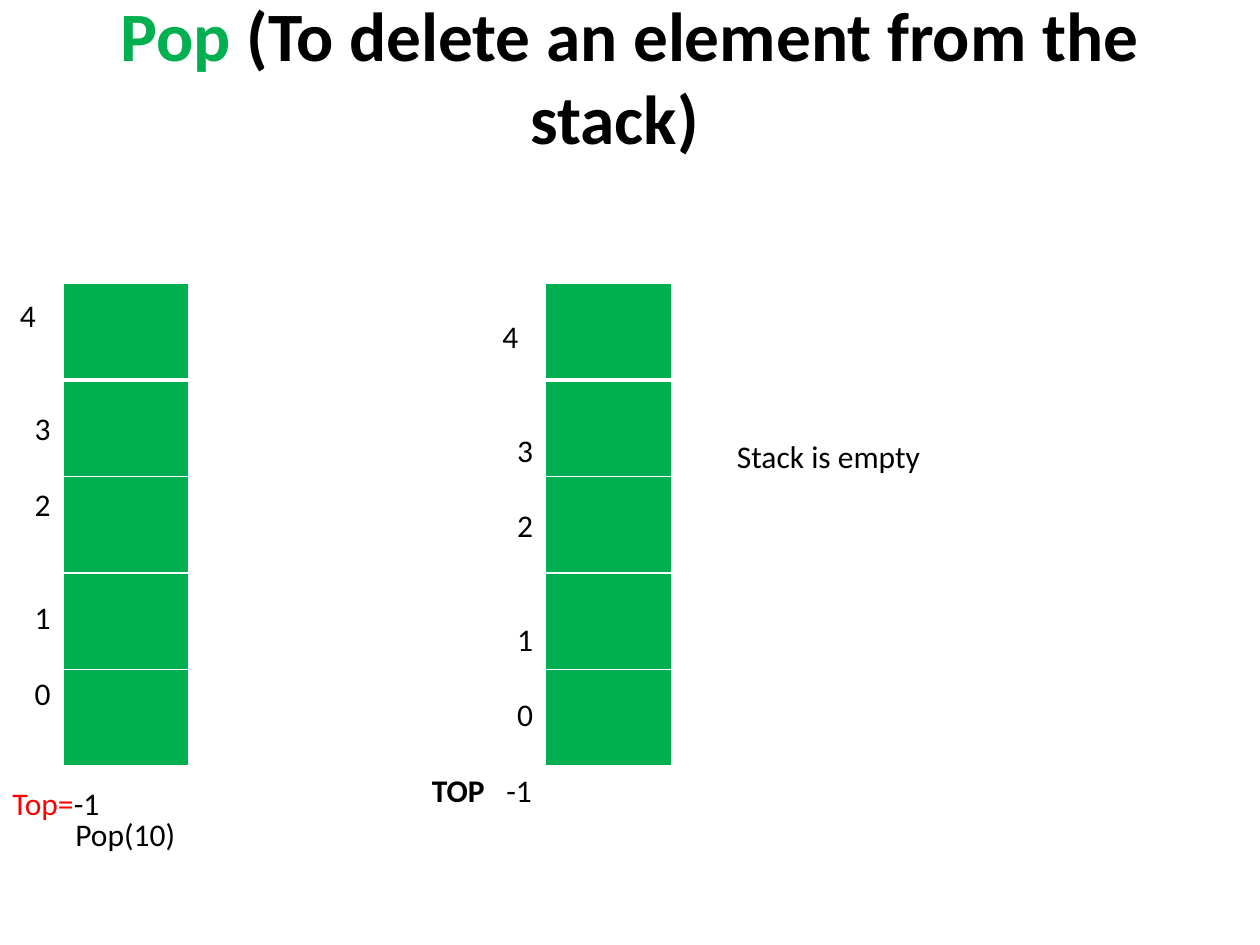
from lxml.etree import SubElement
from pptx import Presentation
from pptx.dml.color import RGBColor
from pptx.enum.text import MSO_ANCHOR, PP_ALIGN
from pptx.oxml.ns import qn
from pptx.util import Inches, Pt

COLORS = {"green": "00B050", "black": "000000", "red": "FF0000", "white": "FFFFFF"}
FRAME = {"word_wrap": True}
INDEX_FRAME = {"word_wrap": True, "margin_top": Inches(0.35)}
TITLE_FRAME = {
    "word_wrap": True,
    "vertical_anchor": MSO_ANCHOR.MIDDLE,
    "margin_right": Inches(0.34),
    "margin_bottom": Inches(0.71),
}
BODY = {"name": "Calibri", "size": Pt(18), "bold": False}
BODY_BOLD = {**BODY, "bold": True}
HEADING = {"name": "Calibri", "size": Pt(39.6), "bold": True}
LINE = 21.6
INDEX_GAPS = {"3": 2 * LINE, "2": LINE, "1": 2 * LINE, "0": LINE}


def apply(target, values):
    for attribute, value in values.items():
        setattr(target, attribute, value)


def add_frame(slide, box, values=FRAME):
    frame = slide.shapes.add_textbox(*map(Inches, box)).text_frame
    apply(frame, values)
    return frame


def add_run(paragraph, text, color="black", values=BODY):
    run = paragraph.add_run()
    run.text = text
    apply(run.font, values)
    run.font.color.rgb = RGBColor.from_string(COLORS[color])


def add_label(slide, box, *pieces):
    paragraph = add_frame(slide, box).paragraphs[0]
    for text, color in pieces:
        add_run(paragraph, text, color)


def add_title(slide, box):
    paragraph = add_frame(slide, box, TITLE_FRAME).paragraphs[0]
    paragraph.alignment = PP_ALIGN.CENTER
    paragraph._p.get_or_add_pPr().set("indent", str(Inches(0.24)))
    add_run(paragraph, "Pop", "green", HEADING)
    add_run(paragraph, " (To delete an element from the stack)", "black", HEADING)


def set_borders(cell, widths):
    properties = cell._tc.get_or_add_tcPr()
    for position, (side, width) in enumerate(widths.items()):
        border = properties.makeelement(qn(f"a:{side}"), {"w": str(Pt(width))})
        properties.insert(position, border)
        fill = SubElement(border, qn("a:solidFill"))
        SubElement(fill, qn("a:srgbClr"), val=COLORS["white"])


def add_cells(slide, box, count=5):
    table = slide.shapes.add_table(count, 1, *map(Inches, box)).table
    for row_number in range(count):
        table.rows[row_number].height = Inches(box[3] / count)
        cell = table.cell(row_number, 0)
        cell.fill.solid()
        cell.fill.fore_color.rgb = RGBColor.from_string(COLORS["green"])
        set_borders(cell, {
            "lnL": 1,
            "lnR": 1,
            "lnT": 3 if row_number == 1 else 1,
            "lnB": 3 if row_number == 0 else 1,
        })


def add_indices(slide, box):
    frame = add_frame(slide, box, INDEX_FRAME)
    highest = frame.paragraphs[0]
    highest._p.get_or_add_pPr().set("marL", str(Inches(0.56)))
    add_run(highest, "4")
    for index, gap in INDEX_GAPS.items():
        paragraph = frame.add_paragraph()
        apply(paragraph, {"alignment": PP_ALIGN.RIGHT, "space_before": Pt(gap)})
        add_run(paragraph, index)
    return frame


def add_top_marker(frame):
    paragraph = frame.add_paragraph()
    paragraph.space_before = Pt(LINE)
    tabs = SubElement(paragraph._p.get_or_add_pPr(), qn("a:tabLst"))
    SubElement(tabs, qn("a:tab"), pos=str(Inches(0.59)), algn="l")
    add_run(paragraph, "TOP", values=BODY_BOLD)
    add_run(paragraph, "\t-1")


def add_stack_before(slide, left, top):
    add_cells(slide, (left, top, 1, 3.83))
    add_label(slide, (left - 0.5, top + 3.92, 1, 0.4), ("Top=", "red"), ("-1", "black"))
    add_label(slide, (left, top + 4.17, 1.17, 0.42), ("Pop(10)", "black"))
    add_indices(slide, (left - 1, top - 0.25, 1, 4.64))


def add_stack_after(slide, left, top):
    add_cells(slide, (left, top, 1, 3.83))
    indices = add_indices(slide, (left - 1, top - 0.08, 1, 4.64))
    add_top_marker(indices)
    add_label(slide, (left + 1.42, top + 1.17, 2.83, 0.4), ("Stack is empty", "black"))


def main():
    presentation = Presentation()
    apply(presentation, {"slide_width": Inches(10), "slide_height": Inches(7.5)})
    slide = presentation.slides.add_slide(presentation.slide_layouts[6])
    add_title(slide, (0.5, 0.3, 9, 1.25))
    add_stack_before(slide, 0.5, 2.25)
    add_stack_after(slide, 4.33, 2.25)
    presentation.save("out.pptx")


if __name__ == "__main__":
    main()
